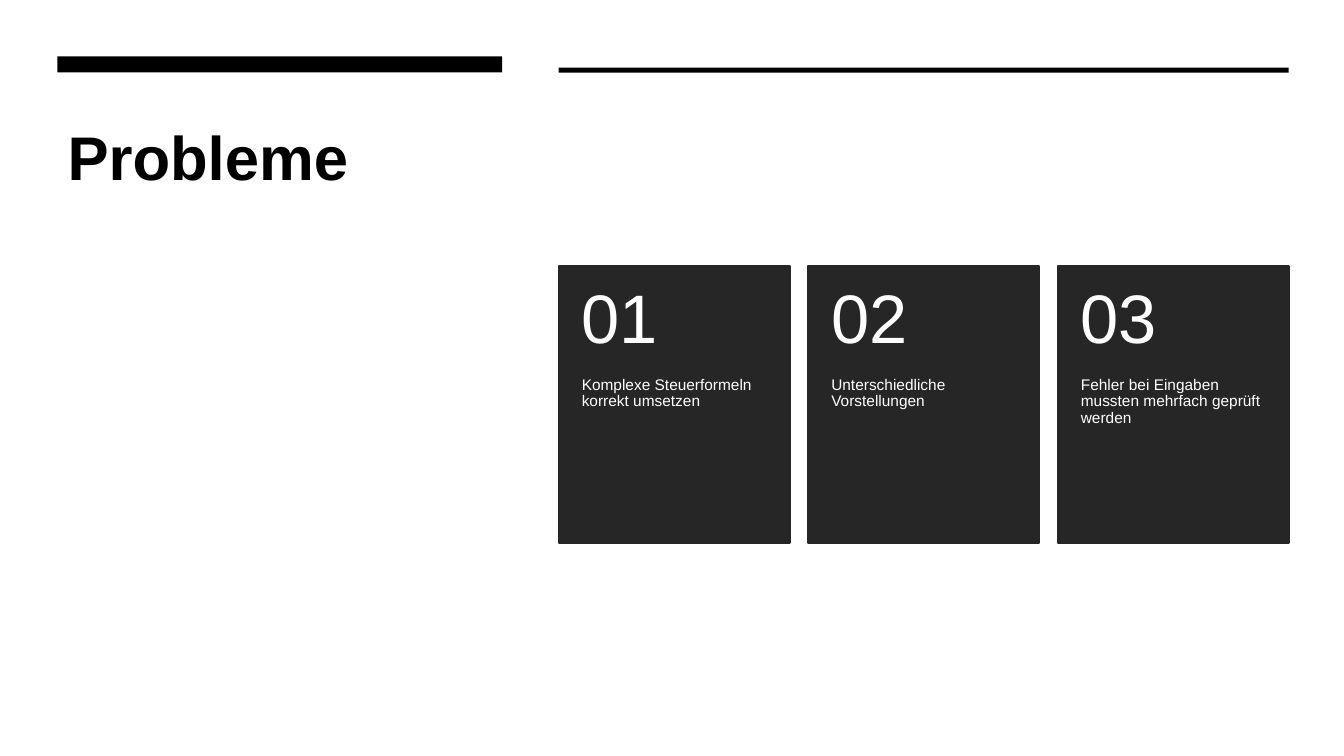
import pptx
import pptx.dml.color
import pptx.enum.shapes
import pptx.enum.text
import pptx.util

Inches = pptx.util.Inches
Pt = pptx.util.Pt
RGBColor = pptx.dml.color.RGBColor
ANCHOR = pptx.enum.text.MSO_ANCHOR

BLACK = RGBColor(0x00, 0x00, 0x00)
WHITE = RGBColor(0xFF, 0xFF, 0xFF)
CHARCOAL = RGBColor(0x26, 0x26, 0x26)
FONT = "Arial"

PROBLEMS = [
    ["Komplexe Steuerformeln", "korrekt umsetzen"],
    ["Unterschiedliche", "Vorstellungen"],
    ["Fehler bei Eingaben", "mussten mehrfach geprüft werden"],
]


def place(part, left, top, width, height):
    part.left, part.top = Inches(left), Inches(top)
    part.width, part.height = Inches(width), Inches(height)


def add_block(shapes, left, top, width, height, color):
    """Add a plain filled rectangle without outline."""
    block = shapes.add_shape(
        pptx.enum.shapes.MSO_SHAPE.RECTANGLE,
        Inches(left), Inches(top), Inches(width), Inches(height))
    block.shadow.inherit = False
    block.fill.solid()
    block.fill.fore_color.rgb = color
    block.line.fill.background()
    return block


def write(frame, lines, size, color, anchor, insets, bold=False, spacing=0.9):
    """Fill a frame with one paragraph; insets are left, top, right, bottom."""
    frame.word_wrap = True
    frame.auto_size = pptx.enum.text.MSO_AUTO_SIZE.NONE
    frame.vertical_anchor = anchor
    (frame.margin_left, frame.margin_top,
     frame.margin_right, frame.margin_bottom) = map(Inches, insets)
    paragraph = frame.paragraphs[0]
    paragraph.alignment = pptx.enum.text.PP_ALIGN.LEFT
    paragraph.line_spacing = spacing
    for index, line in enumerate(lines):
        if index:
            paragraph.add_line_break()
        run = paragraph.add_run()
        run.text = line
        run.font.name = FONT
        run.font.size = Pt(size)
        run.font.bold = bold
        run.font.color.rgb = color


def add_heading(slide, left, top, width, height):
    bar_height = 0.16
    title_offset = 0.51
    title = slide.shapes.title
    place(title, left, top + title_offset, width, height - title_offset)
    write(title.text_frame, ["Probleme"], 44, BLACK, ANCHOR.TOP,
          (0.1, 0.11, 0.1, 0.05), bold=True, spacing=1.0)
    add_block(slide.shapes, left, top, width, bar_height, BLACK)


def add_card(slide, number, lines, left, top, width, height):
    number_height = 0.4 * height
    card = slide.shapes.add_group_shape()
    panel = add_block(card.shapes, left, top, width, height, CHARCOAL)
    panel.line.color.rgb = CHARCOAL
    panel.line.width = Pt(1.5)

    description = card.shapes.add_textbox(0, 0, 0, 0)
    place(description, left, top + number_height, width, height - number_height)
    write(description.text_frame, lines, 11, WHITE, ANCHOR.TOP,
          (0.23, 0, 0.23, 0.36))

    numeral = card.shapes.add_textbox(0, 0, 0, 0)
    place(numeral, left, top, width, number_height)
    write(numeral.text_frame, [f"{number:02}"], 49, WHITE, ANCHOR.MIDDLE,
          (0.23, 0.18, 0.23, 0.18))


def add_cards(slide, left, top, width, height):
    card_width = 2.29
    pitch = (width - card_width) / (len(PROBLEMS) - 1)
    for index, lines in enumerate(PROBLEMS):
        add_card(slide, index + 1, lines,
                 left + index * pitch, top, card_width, height)


def main():
    deck = pptx.Presentation()
    deck.slide_width, deck.slide_height = Inches(13.33), Inches(7.5)
    slide = deck.slides.add_slide(deck.slide_layouts[5])
    slide.background.fill.solid()
    slide.background.fill.fore_color.rgb = WHITE

    add_heading(slide, 0.57, 0.56, 4.41, 4.19)
    add_block(slide.shapes, 5.54, 0.67, 7.24, 0.05, BLACK)
    add_cards(slide, 5.54, 2.64, 7.24, 2.75)
    deck.save("out.pptx")


if __name__ == "__main__":
    main()
